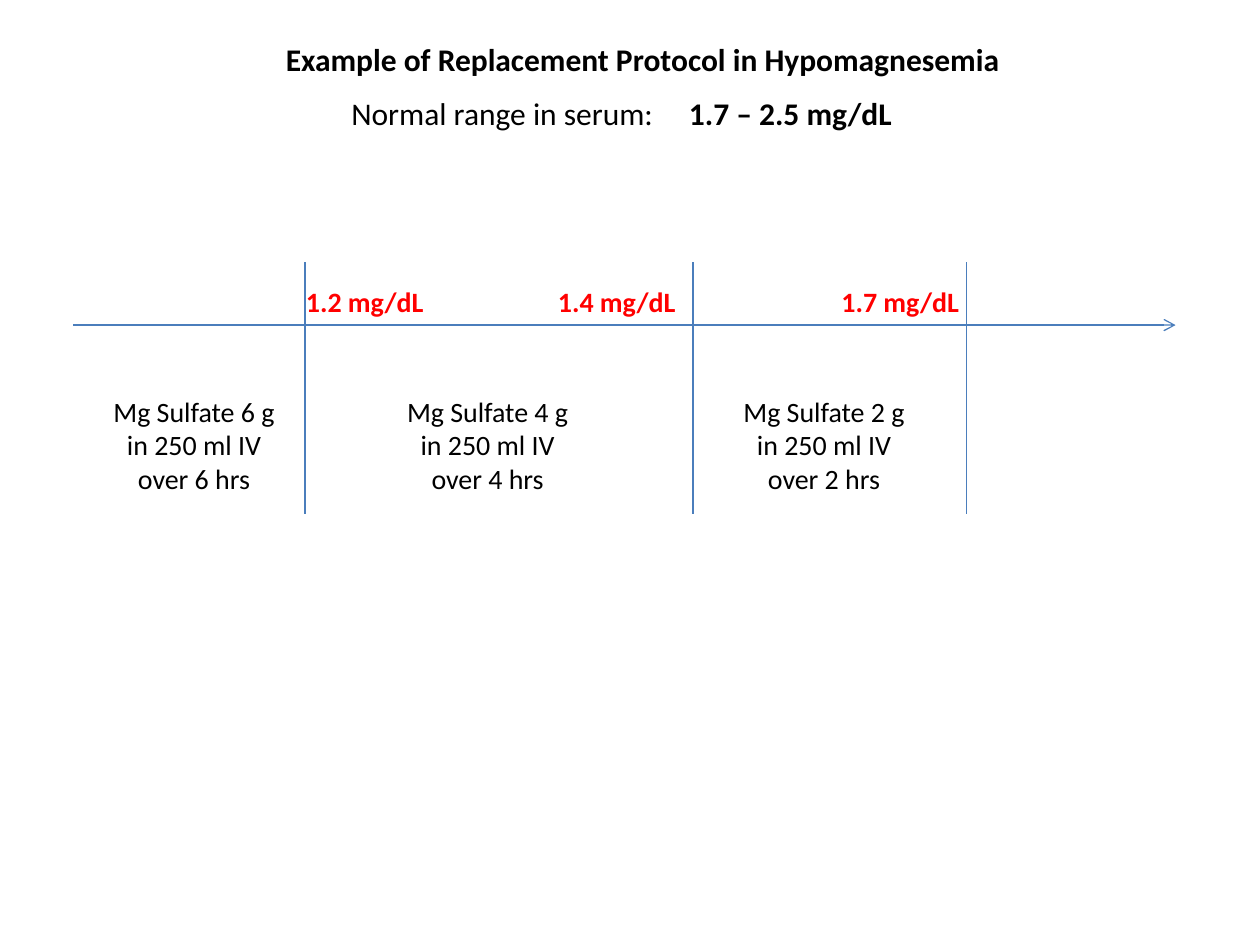
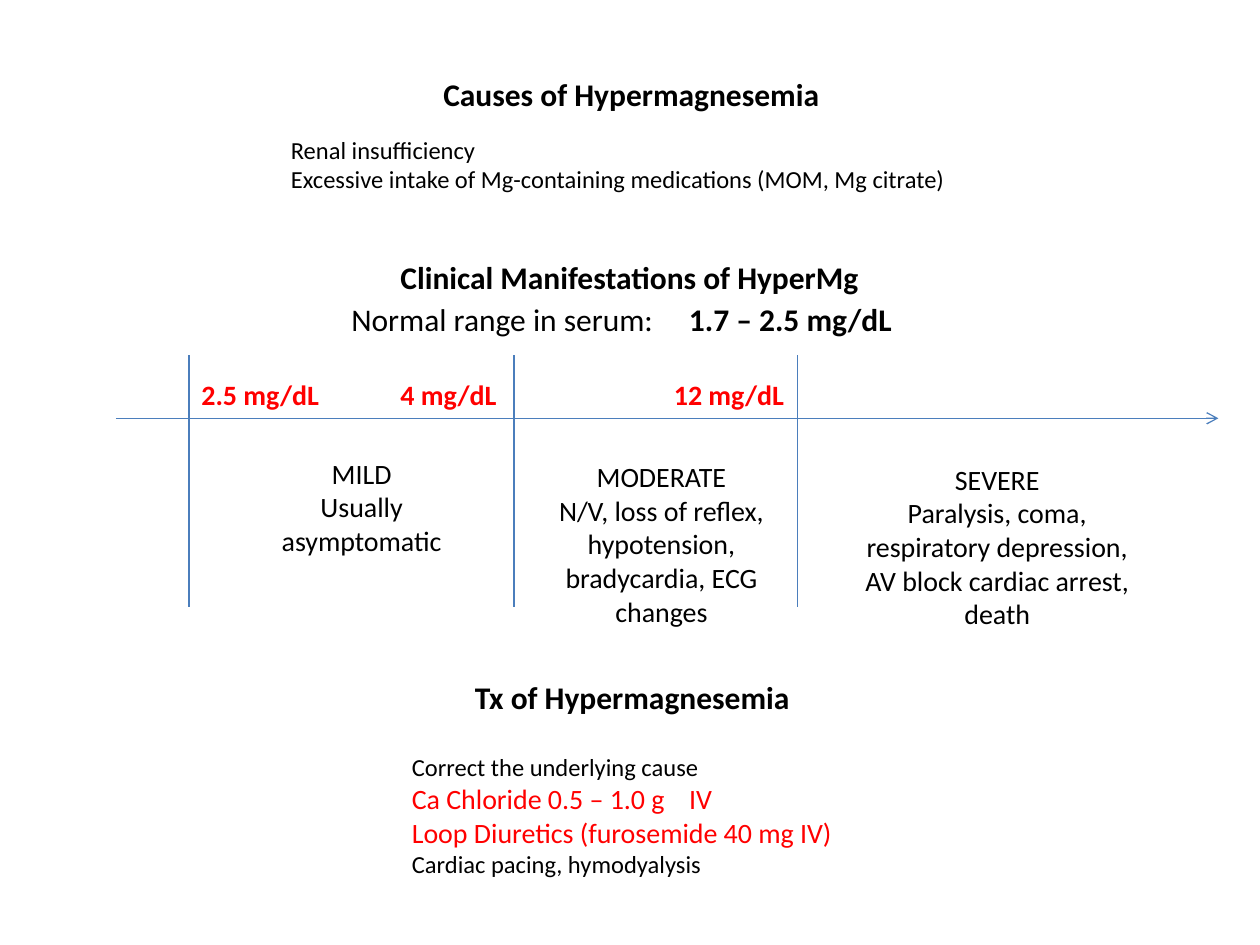
from lxml import etree
from pptx import Presentation
from pptx.dml.color import RGBColor
from pptx.enum.shapes import MSO_CONNECTOR as Connector
from pptx.enum.text import PP_ALIGN as Align
from pptx.oxml.ns import qn
from pptx.util import Inches, Pt

FONT = "Calibri"
BLACK, RED, BLUE = "000000", "FF0000", "4B7EBC"
HEADING = {"size": Pt(18), "bold": True}
RANGE = {"size": Pt(18)}
LEVEL = {"size": Pt(16), "bold": True, "color": RED}
BAND = {"size": Pt(16)}
NOTE = {"size": Pt(14)}
DRUG = {"size": Pt(16), "color": RED}


def rgb(value):
    """Turn a hex string into a colour."""
    return RGBColor.from_string(value)


def add_run(paragraph, text, style):
    """Append a run in the given style."""
    run = paragraph.add_run()
    run.text = text
    font = {"name": FONT, "color": BLACK, **style}
    run.font.color.rgb = rgb(font.pop("color"))
    for attribute, value in font.items():
        setattr(run.font, attribute, value)


def add_tab_stop(paragraph, position):
    """Set a left tab stop on a paragraph."""
    stops = etree.SubElement(paragraph._p.get_or_add_pPr(), qn("a:tabLst"))
    etree.SubElement(stops, qn("a:tab"), pos=str(Inches(position)), algn="l")


def add_text(slide, box, paragraphs, align=Align.LEFT, tab=None):
    """Add a text box; each paragraph is a list of (text, style) runs."""
    frame = slide.shapes.add_textbox(*map(Inches, box)).text_frame
    frame.word_wrap = True
    for index, runs in enumerate(paragraphs):
        paragraph = frame.add_paragraph() if index else frame.paragraphs[0]
        paragraph.alignment = align
        if tab:
            add_tab_stop(paragraph, tab)
        for text, style in runs:
            add_run(paragraph, text, style)


def add_heading(slide, left, top, width, text):
    """Add a bold section heading."""
    add_text(slide, (left, top, width, 0.4), [[(text, HEADING)]])


def add_normal_range(slide, top):
    """Add the normal serum range with its value at a tab stop."""
    runs = [("Normal range in serum:\t", RANGE), ("1.7 – 2.5 mg/dL", HEADING)]
    add_text(slide, (2.69, top, 4.54, 0.4), [runs], tab=2.68)


def add_line(slide, start, end, arrow=False):
    """Add a thin blue line, with an open arrowhead if asked."""
    line = slide.shapes.add_connector(
        Connector.STRAIGHT, *map(Inches, (*start, *end)))
    line.line.color.rgb = rgb(BLUE)
    line.line.width = Pt(0.75)
    if arrow:
        etree.SubElement(line.line._get_or_add_ln(), qn("a:tailEnd"), type="arrow")
    etree.SubElement(line._element.spPr, qn("a:effectLst"))


def add_scale(slide, left, axis, limits, levels):
    """Add the serum level arrow with its limits and level labels."""
    add_line(slide, (left, axis), (left + 8.75, axis), arrow=True)
    for limit in limits:
        add_line(slide, (limit, axis - 0.5), (limit, axis + 1.5))
    for label_left, level in levels:
        add_text(slide, (label_left, axis - 0.37, 1.25, 0.37),
                 [[(f"{level} mg/dL", LEVEL)]])


def add_band(slide, box, *lines):
    """Add the centred description of one band of the scale."""
    add_text(slide, box, [[(line, BAND)] for line in lines], Align.CENTER)


def build_replacement(slide):
    """Build the hypomagnesemia replacement protocol."""
    add_heading(slide, 2.17, 0.27, 6,
                "Example of Replacement Protocol in Hypomagnesemia")
    add_normal_range(slide, 0.7)
    add_scale(slide, 0.58, 2.58, (2.42, 5.5, 7.67),
              ((2.33, "1.2"), (4.33, "1.4"), (6.58, "1.7")))
    for left, dose in ((0.75, 6), (3.08, 4), (5.75, 2)):
        add_band(slide, (left, 3.08, 1.58, 0.91),
                 f"Mg Sulfate {dose} g in 250 ml IV over {dose} hrs")


def build_hypermagnesemia(slide):
    """Build the causes, manifestations and treatment of hypermagnesemia."""
    add_heading(slide, 3.42, 0.55, 3.33, "Causes of Hypermagnesemia")
    add_text(slide, (2.21, 1.02, 5.75, 0.57), [
        [("Renal insufficiency", NOTE)],
        [("Excessive intake of Mg-containing medications (MOM, Mg citrate)", NOTE)],
    ])
    add_heading(slide, 3.08, 2, 4, "Clinical Manifestations of HyperMg")
    add_normal_range(slide, 2.33)
    add_scale(slide, 0.92, 3.32, (1.5, 4.08, 6.33),
              ((1.5, "2.5"), (3.08, "4"), (5.25, "12")))
    add_band(slide, (2.08, 3.57, 1.58, 0.91), "MILD", "Usually asymptomatic")
    add_band(slide, (4.25, 3.6, 2, 1.45), "MODERATE",
             "N/V, loss of reflex, hypotension, bradycardia, ECG changes")
    add_band(slide, (6.75, 3.62, 2.33, 1.45), "SEVERE",
             "Paralysis, coma, respiratory depression, "
             "AV block cardiac arrest, death")
    add_heading(slide, 3.67, 5.33, 2.83, "Tx of Hypermagnesemia")
    add_text(slide, (3.17, 5.92, 3.75, 1.11), [
        [("Correct the underlying cause", NOTE)],
        [("Ca Chloride 0.5 – 1.0 g\tIV", DRUG)],
        [("Loop Diuretics (furosemide 40 mg IV)", DRUG)],
        [("Cardiac pacing, hymodyalysis", NOTE)],
    ], tab=2.2)


def main():
    """Build both slides and save them."""
    deck = Presentation()
    deck.slide_width, deck.slide_height = Inches(10), Inches(7.5)
    for build in (build_replacement, build_hypermagnesemia):
        build(deck.slides.add_slide(deck.slide_layouts[6]))
    deck.save("out.pptx")


if __name__ == "__main__":
    main()
